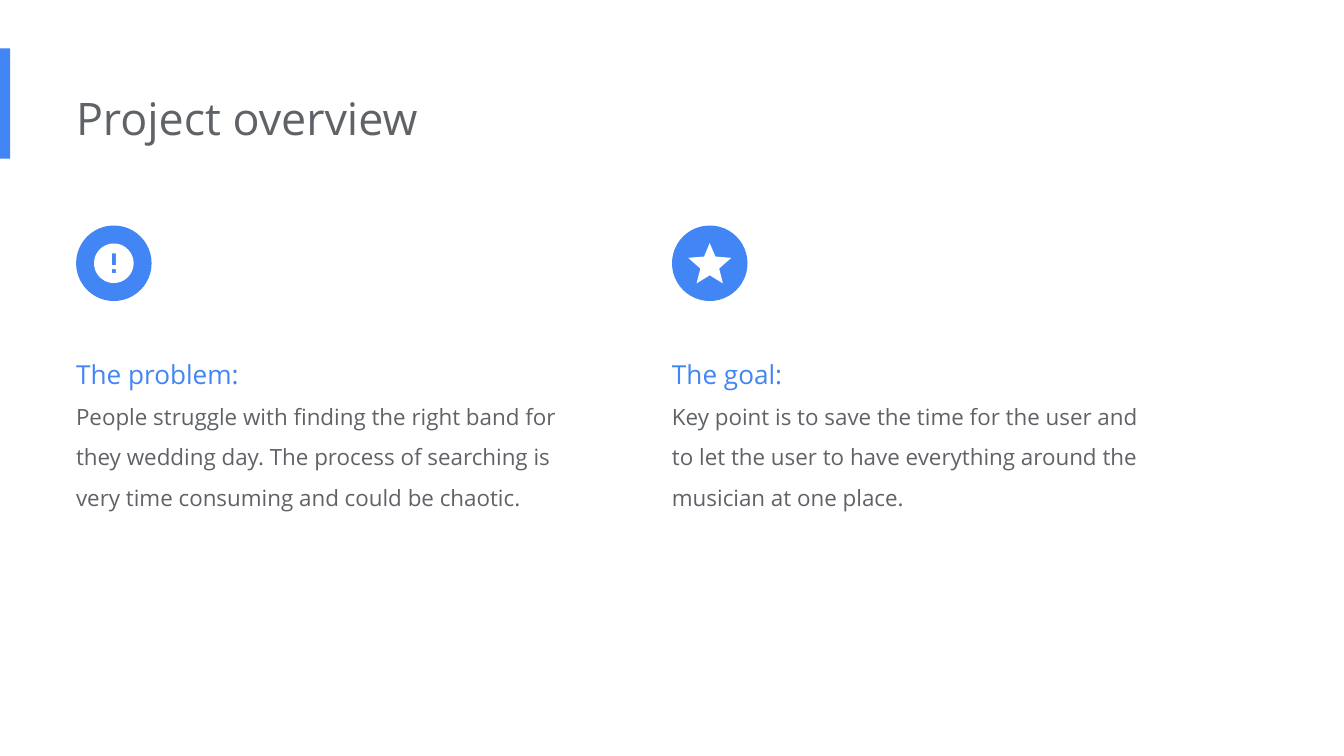
from math import cos, pi, sin

from pptx import Presentation
from pptx.dml.color import RGBColor
from pptx.enum.shapes import MSO_SHAPE as Shape
from pptx.enum.text import MSO_AUTO_SIZE as AutoSize
from pptx.util import Inches, Pt

BLUE = RGBColor(0x42, 0x85, 0xF4)
GRAY = RGBColor(0x5F, 0x63, 0x68)
WHITE = RGBColor(0xFF, 0xFF, 0xFF)

# The slide is a 16:9 grid of 100 columns by 56.25 rows of square cells
CELL = Inches(0.1)
COLUMNS, ROWS = 100, 56.25
LEFT_COLUMNS = (5.66, 50)
BADGE_TOP, BADGE_SIZE = 16.78, 5.62
BADGE_MIDDLE = BADGE_TOP + BADGE_SIZE / 2


def grid(cells):
    return round(cells * CELL)


class OverviewSlide:
    font_name = "Open Sans"

    def __init__(self, deck):
        self.slide = deck.slides.add_slide(deck.slide_layouts[6])
        self.shapes = self.slide.shapes

    def paint(self, shape, color):
        shape.shadow.inherit = False
        shape.fill.solid()
        shape.fill.fore_color.rgb = color
        shape.line.fill.background()

    def block(self, kind, left, top, width, height, color):
        area = map(grid, (left, top, width, height))
        self.paint(self.shapes.add_shape(kind, *area), color)

    def text(self, left, top, width, height, lines, spacing=1.0):
        """Write lines of (wording, size, color) as paragraphs."""
        box = self.shapes.add_textbox(*map(grid, (left, top, width, height)))
        frame = box.text_frame
        frame.word_wrap = True
        frame.auto_size = AutoSize.SHAPE_TO_FIT_TEXT
        frame.margin_left = 0
        frame.margin_top = frame.margin_right = frame.margin_bottom = CELL
        for index, (wording, size, color) in enumerate(lines):
            paragraph = frame.add_paragraph() if index else frame.paragraphs[0]
            paragraph.line_spacing = spacing
            run = paragraph.add_run()
            run.text = wording
            run.font.name = self.font_name
            run.font.size = Pt(size)
            run.font.color.rgb = color

    def icon(self, center_x, center_y, contours, color):
        """Draw closed contours given as offsets from a center."""
        placed = [[(grid(center_x + x), grid(center_y + y)) for x, y in contour]
                  for contour in contours]
        first, *others = placed
        builder = self.shapes.build_freeform(*first[0])
        builder.add_line_segments(first[1:], close=True)
        for contour in others:
            builder.move_to(*contour[0])
            builder.add_line_segments(contour[1:], close=True)
        self.paint(builder.convert_to_shape(), color)


def rectangle(left, top, right, bottom):
    return [(left, top), (right, top), (right, bottom), (left, bottom)]


def circle(radius, steps=72):
    angles = [2 * pi * step / steps for step in range(steps)]
    return [(radius * cos(angle), radius * sin(angle)) for angle in angles]


# Exclamation mark cut out of a disc
ALERT = [circle(1.47),
         rectangle(-0.15, -0.74, 0.15, 0.15),
         rectangle(-0.15, 0.44, 0.15, 0.74)]

# Right half of the star, mirrored to the left
STAR_HALF = [(0, -1.5), (0.42, -0.5), (1.6, -0.4), (0.7, 0.4), (0.98, 1.5), (0, 0.9)]
STAR = [STAR_HALF + [(-x, y) for x, y in STAR_HALF[-2:0:-1]]]

TOPICS = [
    ("The problem:",
     "People struggle with finding the right band for they wedding day. "
     "The process of searching is very time consuming and could be chaotic.",
     ALERT),
    ("The goal:",
     "Key point is to save the time for the user and to let the user to have "
     "everything around the musician at one place.",
     STAR),
]


def main():
    deck = Presentation()
    deck.slide_width, deck.slide_height = grid(COLUMNS), grid(ROWS)
    overview = OverviewSlide(deck)

    # Accent bar and title
    overview.block(Shape.RECTANGLE, 0, 3.6, 0.76, 8.22, BLUE)
    overview.text(LEFT_COLUMNS[0], 5.74, 67.3, 6.1, [("Project overview", 24, GRAY)])

    # Topic columns: badge, icon, heading and description
    for left, (heading, description, icon) in zip(LEFT_COLUMNS, TOPICS):
        overview.block(Shape.OVAL, left, BADGE_TOP, BADGE_SIZE, BADGE_SIZE, BLUE)
        overview.icon(left + BADGE_SIZE / 2, BADGE_MIDDLE, icon, WHITE)
        overview.text(left, 24.5, 37.7, 13.6,
                      [(heading, 14, BLUE), (description, 12, GRAY)], spacing=1.5)

    deck.save("out.pptx")


if __name__ == "__main__":
    main()
